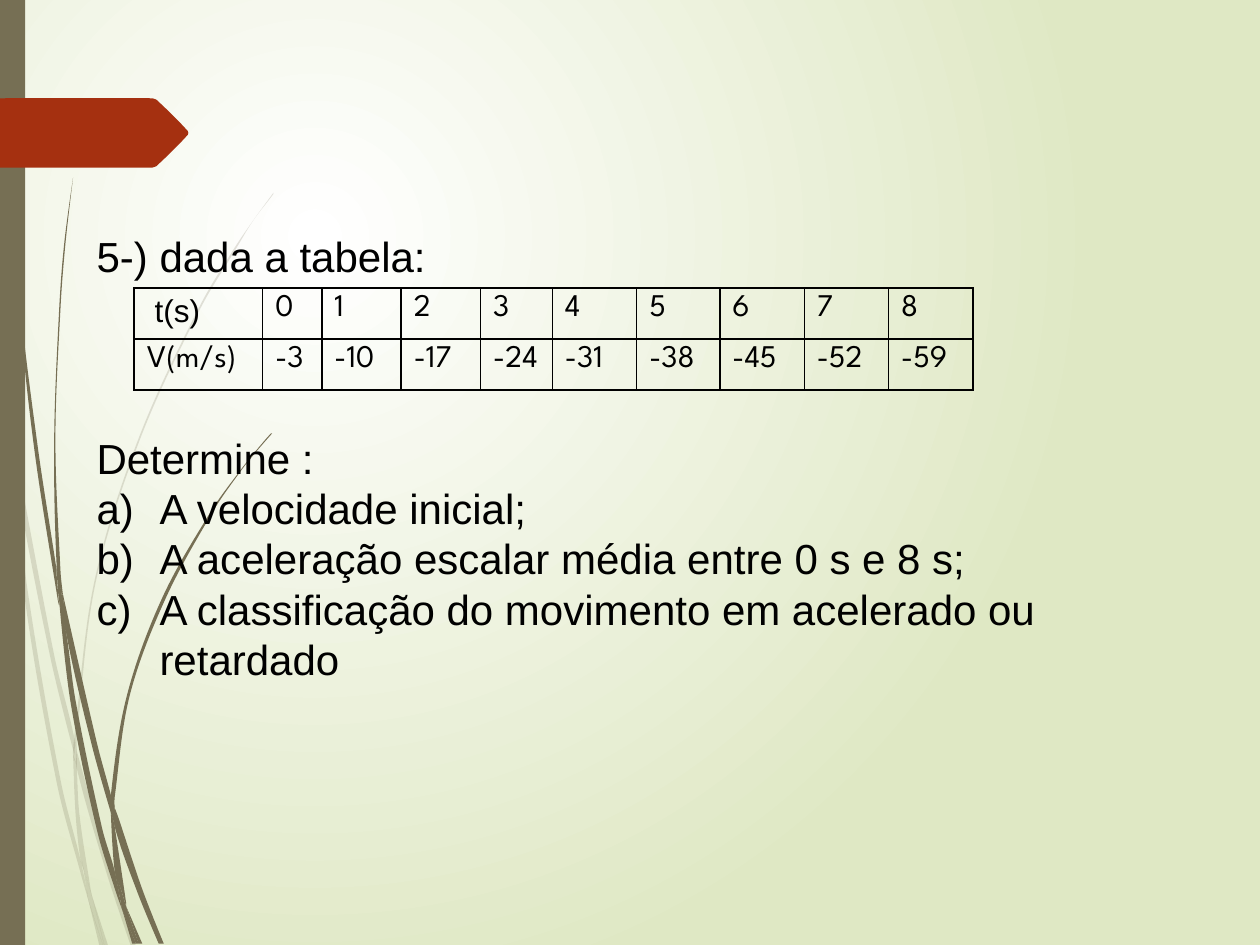
"""Builds a physics exercise slide with a speed table on a wispy backdrop."""
import math
import lxml.etree
import pptx
import pptx.dml.color
import pptx.enum.shapes
import pptx.enum.text
import pptx.oxml.ns
import pptx.util

qn = pptx.oxml.ns.qn
sub = lxml.etree.SubElement
deck = pptx.Presentation()
deck.slide_width, deck.slide_height = pptx.util.Inches(10), pptx.util.Inches(7.5)
unit = deck.slide_width // 1000
slide = deck.slides.add_slide(deck.slide_layouts[1])
slide.shapes.title.element.getparent().remove(slide.shapes.title.element)


def tint(code):
    return pptx.dml.color.RGBColor.from_string(code)


def curve(shapes, line):
    """Draw a closed outline through the knots, rounded except at sharp tips."""
    knots = [tuple(unit * int(n) for n in pair.split(",")) for pair in line.split()]
    nexts = knots[1:] + knots[:1]
    slopes = []
    for (px, py), (x, y), (nx, ny) in zip(knots[-1:] + knots, knots, nexts):
        turn = (x - px) * (nx - x) + (y - py) * (ny - y)
        sharp = turn < 0.5 * math.dist((px, py), (x, y)) * math.dist((x, y), (nx, ny))
        span = math.dist((px, py), (nx, ny)) or 1
        slopes.append((0, 0) if sharp else ((nx - px) / span, (ny - py) / span))
    pen = shapes.build_freeform(*knots[0], scale=1.0)
    pen.add_line_segments(nexts, close=True)
    shape = pen.convert_to_shape()
    left, top = (min(axis) for axis in zip(*knots))
    edges = list(shape.element.iter(qn("a:lnTo")))
    for edge, start, end, out, back in zip(
            edges, knots, nexts, slopes, slopes[1:] + slopes[:1]):
        reach = math.dist(start, end) / 3
        edge.tag = qn("a:cubicBezTo")
        handles = [(start[0] + reach * out[0], start[1] + reach * out[1]),
                   (end[0] - reach * back[0], end[1] - reach * back[1])]
        for spot, (x, y) in enumerate(handles):
            dot = lxml.etree.Element(qn("a:pt"), x=str(round(x - left)), y=str(round(y - top)))
            edge.insert(spot, dot)
    return shape


fill = slide.background.fill
fill.gradient()
for stop, place, code in zip(fill.gradient_stops, (0, 1), ("FFFFFF", "DFE8C4")):
    stop.position = place
    stop.color.rgb = tint(code)
grad = slide.element.find(".//" + qn("a:gradFill"))
grad.remove(grad.find(qn("a:lin")))
focus = sub(grad, qn("a:path"), path="circle")
sub(focus, qn("a:fillToRect"), l="50000", t="50000", r="100000", b="100000")

pale = [
    "8,350 6,322 0,282 0,299 7,344",
    "40,522 59,599 59,586 43,520 10,345 12,376",
    "64,607 61,596 61,610 85,694 104,751 108,751 88,692",
    "83,751 86,751 73,711",
    "64,683 48,619 22,469 12,376 8,350 19,470 45,621 64,693 70,714 69,707",
    "58,599 60,646 64,683 67,692 73,711 72,706 63,646 61,610 61,608",
    "61,584 76,462 111,349 159,245 187,198 201,175 217,154 217,153 201,175 186,197 "
    "158,244 110,348 75,461 59,584 59,586 61,596",
    "70,714 79,751 82,751",
    "61,608 61,610 61,596 59,586 58,599",
    "67,692 65,683 69,707 70,714 82,751 83,751 73,711",
]
dark = [
    "5,110 14,233 27,355 46,477 47,481 45,457 45,453 30,355 15,232 6,109 4,48 3,0 2,0 3,48",
    "73,592 88,645 88,633 88,631 77,590 50,472 53,505",
    "94,649 91,641 91,656 109,708 126,749 130,749 113,706",
    "91,691 81,657 60,556 53,505 47,477 56,557 77,659 92,708 97,722 96,717",
    "50,472 48,453 44,349 48,245 52,193 58,141 51,193 47,245 43,349 45,449 49,472",
    "110,749 113,749 100,719",
    "47,477 53,505 50,472 49,472 45,449 45,453",
    "91,633 103,552 131,476 169,406 191,374 203,359 216,344 215,344 203,358 191,373 "
    "168,405 129,474 101,551 88,631 91,641",
    "97,722 105,749 108,749",
    "88,645 91,691 96,706 100,719 100,716 91,656 90,651",
    "88,645 90,651 91,656 91,641 88,631 88,633",
    "96,706 91,691 96,717 97,722 108,749 110,749 100,719",
]
parts, layers = [], []
for lines, alpha in ((pale, 20), (dark, 100)):
    group = slide.shapes.add_group_shape()
    layers.append(group)
    parts += [(curve(group.shapes, line), "766F54", alpha) for line in lines]
bar = slide.shapes.add_shape(
    pptx.enum.shapes.MSO_SHAPE.RECTANGLE, 0, 0, unit * 20, deck.slide_height)
arrow = curve(slide.shapes, "149,107 124,132 121,133 0,133 0,78 121,78 124,79 149,104")
parts += [(bar, "766F54", 100), (arrow, "A53010", 100)]
for shape, code, alpha in parts:
    shape.shadow.inherit = False
    shape.fill.solid()
    shape.fill.fore_color.rgb = tint(code)
    shape.line.fill.background()
    if alpha < 100:
        color = shape.element.spPr.find(".//" + qn("a:srgbClr"))
        sub(color, qn("a:alpha"), val=str(alpha * 1000))
for layer in (*layers, bar, arrow):
    for tag in layer.element.iter(qn("p:cNvPr")):
        tag.set("id", str(int(tag.get("id")) + 100))
    deck.slide_master.shapes.element.append(layer.element)

body = slide.placeholders[1]
for name, size in dict(left=66.6, top=178, width=843, height=454).items():
    setattr(body, name, int(unit * size))
frame = body.text_frame
looks = dict(word_wrap=True, auto_size=pptx.enum.text.MSO_AUTO_SIZE.NONE,
             vertical_anchor=pptx.enum.text.MSO_ANCHOR.TOP)
for name, value in looks.items():
    setattr(frame, name, value)
pitch = 28.8
items = [
    ("5-) dada a tabela:", 0, False),
    ("Determine :", 3, False),
    ("A velocidade inicial;", 0, True),
    ("A aceleração escalar média entre 0 s e 8 s;", 0, True),
    ("A classificação do movimento em acelerado ou retardado", 0, True),
]
frame.text = "\n".join(item[0] for item in items)
for para, (text, gap, listed) in zip(frame.paragraphs, items):
    for name, value in dict(line_spacing=pitch, space_before=gap * pitch, space_after=0).items():
        setattr(para, name, pptx.util.Pt(value))
    for name, value in dict(name="Arial", size=pptx.util.Pt(24)).items():
        setattr(para.runs[0].font, name, value)
    para.runs[0].font.color.rgb = tint("000000")
    props = para._p.get_or_add_pPr()
    props.set("marL", str(50 * unit * listed))
    props.set("indent", str(-50 * unit * listed))
    if listed:
        sub(props, qn("a:buFont"), typeface="+mj-lt")
        sub(props, qn("a:buAutoNum"), type="alphaLcParenR")
    else:
        sub(props, qn("a:buNone"))

rows = [["t(s)", *range(9)], ["V(m/s)", -3, *range(-10, -60, -7)]]
wide = [102, 47, 63, 63, 57, 67, 66, 67, 67, 67]
table = slide.shapes.add_table(
    2, len(wide), *(int(unit * n) for n in (106.5, 228.4, sum(wide), 81))).table
table.first_row = table.horz_banding = False
for column, size in zip(table.columns, wide):
    column.width = unit * size
for r, row in enumerate(rows):
    table.rows[r].height = unit * 81 // 2
    for c, value in enumerate(row):
        cell = table.cell(r, c)
        para = cell.text_frame.paragraphs[0]
        bits = [(str(value), "League Spartan")]
        if (r, c) == (0, 0):
            bits = [(" ", "League Spartan"), (value, "Arial")]
        for text, face in bits:
            run = para.add_run()
            run.text = text
            for name, look in dict(name=face, size=pptx.util.Pt(18)).items():
                setattr(run.font, name, look)
            run.font.color.rgb = tint("000000")
        cell.fill.background()
        props = cell._tc.get_or_add_tcPr()
        for spot, side in enumerate("LRTB"):
            edge = lxml.etree.Element(qn("a:ln" + side), w="12700")
            sub(sub(edge, qn("a:solidFill")), qn("a:srgbClr"), val="000000")
            props.insert(spot, edge)

deck.save("out.pptx")
